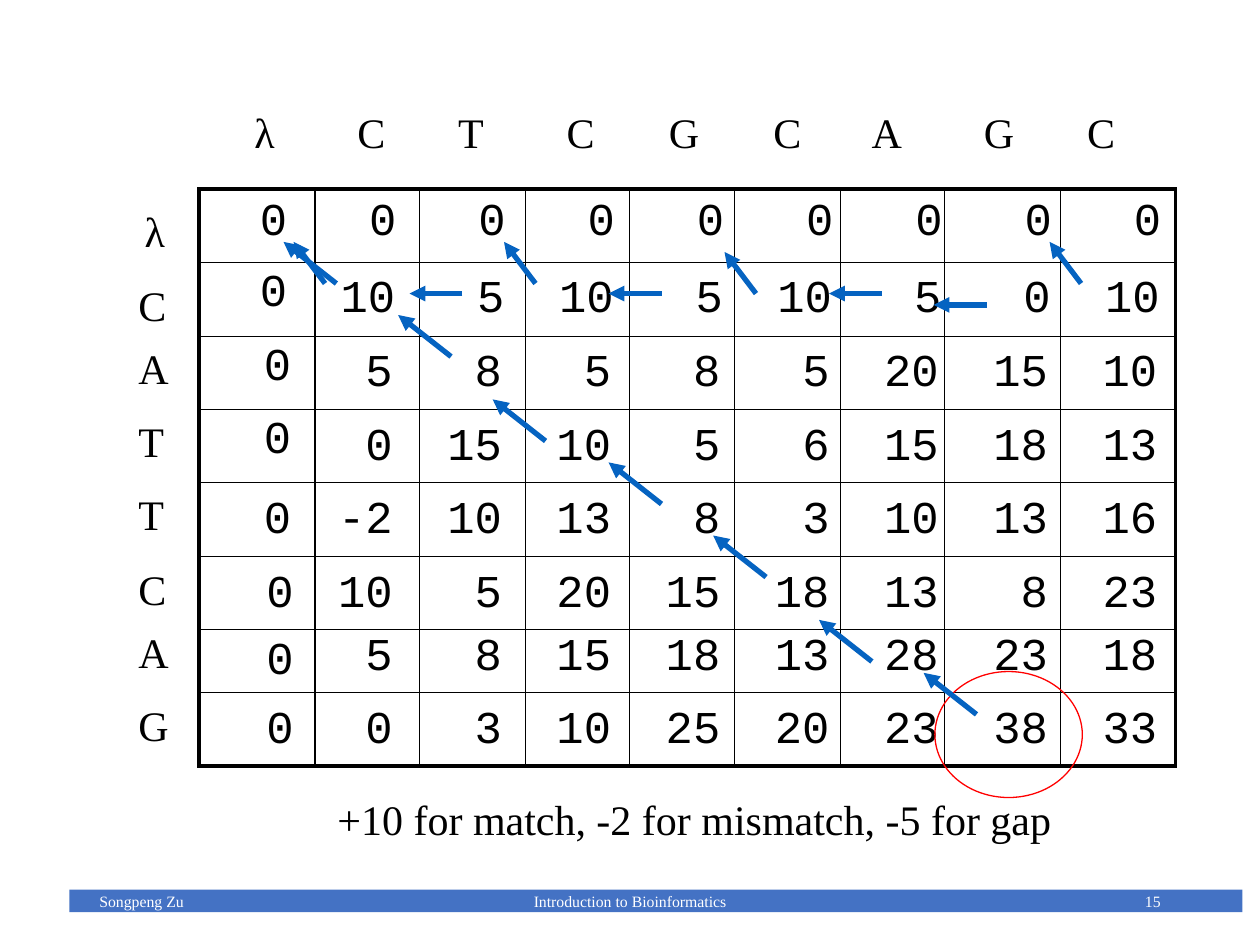
from lxml import etree
from pptx import Presentation
from pptx.dml.color import RGBColor
from pptx.enum import shapes, text
from pptx.oxml import ns
from pptx.util import Inches, Pt

COLORS = {"ink": "000000", "bar": "4472C4", "white": "FFFFFF", "arrow": "0563C1", "ring": "FF0000"}
SERIF, MONO = "Times New Roman", "Courier New"
LEFT, CENTER, RIGHT = text.PP_ALIGN.LEFT, text.PP_ALIGN.CENTER, text.PP_ALIGN.RIGHT

TOP_SEQUENCE = "λCTCGCAGC"
TOP_CENTERS = [0.93, 1.72, 2.59, 3.41, 4.23, 5.02, 5.91, 6.72]  # tab stops after λ
SIDE_SEQUENCE = "λCATTCAG"
SIDE_TOPS = [1.58, 2.17, 2.67, 3.25, 3.83, 4.42, 4.92, 5.5]
SCORES = [
    [0, 0, 0, 0, 0, 0, 0, 0, 0],
    [0, 10, 5, 10, 5, 10, 5, 0, 10],
    [0, 5, 8, 5, 8, 5, 20, 15, 10],
    [0, 0, 15, 10, 5, 6, 15, 18, 13],
    [0, -2, 10, 13, 8, 3, 10, 13, 16],
    [0, 10, 5, 20, 15, 18, 13, 8, 23],
    [0, 5, 8, 15, 18, 13, 28, 23, 18],
    [0, 0, 3, 10, 25, 20, 23, 38, 33],
]
COLUMN_EDGES = [1.58, 2.5, 3.33, 4.17, 5, 5.83, 6.67, 7.5, 8.42, 9.33]
ROW_EDGES = [1.5, 2.08, 2.67, 3.25, 3.83, 4.42, 5, 5.5, 6.08]

# Scores keep a steady pitch of four characters, independent of the cell widths.
PITCH = 0.867
SCORE_STARTS = [2.28, 2.27] + [2.25] * 6
SCORE_INSETS = [0.07, 0.1, 0.1, 0.1, 0.1, 0.1, 0.02, 0.1]
FIRST_ENDS = [2.28, 2.28, 2.31, 2.31, 2.31, 2.33, 2.33, 2.33]
FIRST_INSETS = [0.07, 0.05, 0.05, 0.05, 0.1, 0.1, 0.05, 0.1]

# Arrow step (dx, dy) and the points from which such arrows start
ARROWS = {
    (-0.25, -0.33): [(4.25, 2.25), (6, 2.33), (8.58, 2.25), (2.58, 2.25)],
    (-0.42, 0): [(3.67, 2.33), (5.25, 2.33), (7, 2.33), (7.83, 2.42)],
    (-0.42, -0.33): [(7.75, 5.67), (6.92, 5.25), (6.08, 4.58), (5.25, 4),
                     (4.33, 3.5), (3.58, 2.83), (2.67, 2.25)],
}
FOOTER = [
    ("Songpeng Zu", 0.69, 2.25, LEFT),
    ("Introduction to Bioinformatics", 3.31, 3.38, CENTER),
    ("15", 7.06, 2.25, RIGHT),
]


def color(name):
    return RGBColor.from_string(COLORS[name])


def write(para, words, size, font=SERIF, ink="ink", align=LEFT):
    para.alignment = align
    span = para.add_run()
    span.text = words
    for name, value in {"size": Pt(size), "name": font}.items():
        setattr(span.font, name, value)
    span.font.color.rgb = color(ink)


def add_text(page, words, place, size=24, anchor=text.MSO_ANCHOR.TOP, **style):
    frame = page.shapes.add_textbox(*map(Inches, place)).text_frame
    frame.word_wrap = True
    frame.vertical_anchor = anchor
    write(frame.paragraphs[0], words, size, **style)
    return frame.paragraphs[0]


def add_tabs(para, stops):
    """Give the paragraph centred tab stops, in inches from the text edge."""
    tabs = etree.SubElement(para._p.get_or_add_pPr(), ns.qn("a:tabLst"))
    for stop in stops:
        etree.SubElement(tabs, ns.qn("a:tab"), pos=str(Inches(stop)), algn="ctr")


def set_borders(cell, widths):
    """Draw the cell borders; widths maps side letters (L, R, T, B) to points."""
    properties = cell._tc.get_or_add_tcPr()
    for index, (side, width) in enumerate(widths.items()):
        line = etree.Element(ns.qn(f"a:ln{side}"), w=str(Pt(width)))
        fill = etree.SubElement(line, ns.qn("a:solidFill"))
        etree.SubElement(fill, ns.qn("a:srgbClr"), val=COLORS["ink"])
        properties.insert(index, line)


def add_matrix(page):
    rows, columns = len(SCORES), len(SCORES[0])
    left, top = COLUMN_EDGES[0], ROW_EDGES[0]
    size = (COLUMN_EDGES[-1] - left, ROW_EDGES[-1] - top)
    table = page.shapes.add_table(rows, columns, *map(Inches, (left, top, *size))).table
    table.first_row = table.horz_banding = False
    for lines, edges, side in ((table.columns, COLUMN_EDGES, "width"),
                               (table.rows, ROW_EDGES, "height")):
        for line, start, end in zip(lines, edges, edges[1:]):
            setattr(line, side, Inches(end - start))
    for r, scores in enumerate(SCORES):
        for c, score in enumerate(scores):
            cell = table.cell(r, c)
            end = SCORE_STARTS[r] + c * PITCH if c else FIRST_ENDS[r]
            inset = SCORE_INSETS[r] if c else FIRST_INSETS[r]
            margins = {"left": 0, "right": COLUMN_EDGES[c + 1] - end, "top": inset, "bottom": 0}
            for side, margin in margins.items():
                setattr(cell, f"margin_{side}", Inches(margin))
            cell.fill.background()
            outer = {"L": c == 0, "R": c == columns - 1, "T": r == 0, "B": r == rows - 1}
            set_borders(cell, {side: 2.25 if edge else 0.75 for side, edge in outer.items()})
            write(cell.text_frame.paragraphs[0], str(score), 26, font=MONO, align=RIGHT)


def add_arrow(page, start, step):
    end = [a + b for a, b in zip(start, step)]
    arrow = page.shapes.add_connector(shapes.MSO_CONNECTOR.STRAIGHT, *map(Inches, (*start, *end)))
    arrow.line.color.rgb = color("arrow")
    arrow.line.width = Pt(3)
    etree.SubElement(arrow.line._get_or_add_ln(), ns.qn("a:tailEnd"), type="triangle")
    etree.SubElement(arrow._element.spPr, ns.qn("a:effectLst"))


def add_shape(page, kind, place):
    shape = page.shapes.add_shape(kind, *map(Inches, place))
    shape.shadow.inherit = False
    return shape


def main():
    deck = Presentation()
    deck.slide_width, deck.slide_height = Inches(10), Inches(7.5)
    page = deck.slides.add_slide(deck.slide_layouts[6])

    bar = add_shape(page, shapes.MSO_SHAPE.RECTANGLE, (0.55, 7.06, 9.31, 0.18))
    bar.fill.solid()
    bar.fill.fore_color.rgb = color("bar")
    bar.line.fill.background()
    for words, left, width, align in FOOTER:
        add_text(page, words, (left, 6.95, width, 0.4), size=9, ink="white",
                 align=align, anchor=text.MSO_ANCHOR.MIDDLE)

    add_tabs(add_text(page, "\t".join(TOP_SEQUENCE), (1.92, 0.8, 7.5, 0.5)), TOP_CENTERS)
    for letter, top in zip(SIDE_SEQUENCE, SIDE_TOPS):
        add_text(page, letter, (1.05 if letter == "λ" else 1, top, 0.44, 0.5))
    add_matrix(page)
    add_text(page, "+10 for match, -2 for mismatch, -5 for gap", (2.58, 6.25, 6, 0.5))

    ring = add_shape(page, shapes.MSO_SHAPE.OVAL, (7.42, 5.33, 1.17, 1))
    ring.fill.background()
    ring.line.color.rgb = color("ring")
    ring.line.width = Pt(0.75)
    for step, starts in ARROWS.items():
        for start in starts:
            add_arrow(page, start, step)

    deck.save("out.pptx")


if __name__ == "__main__":
    main()
